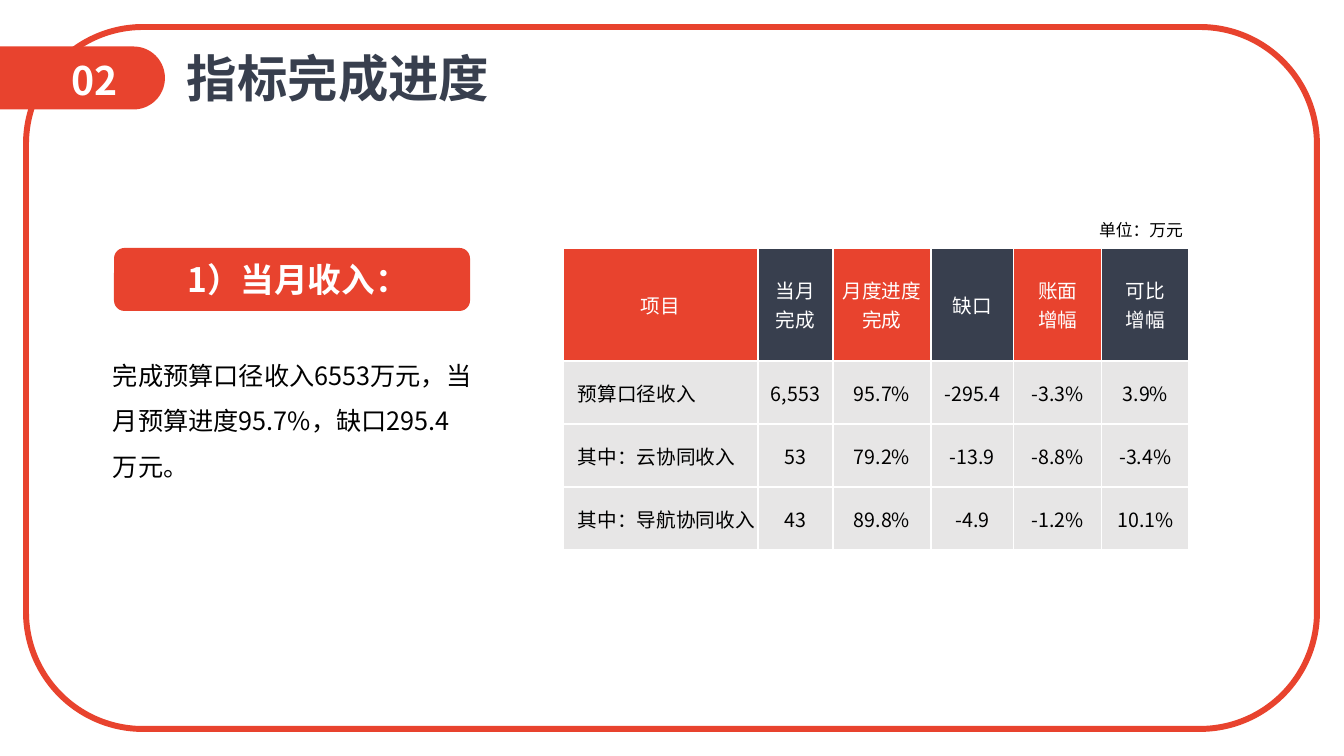
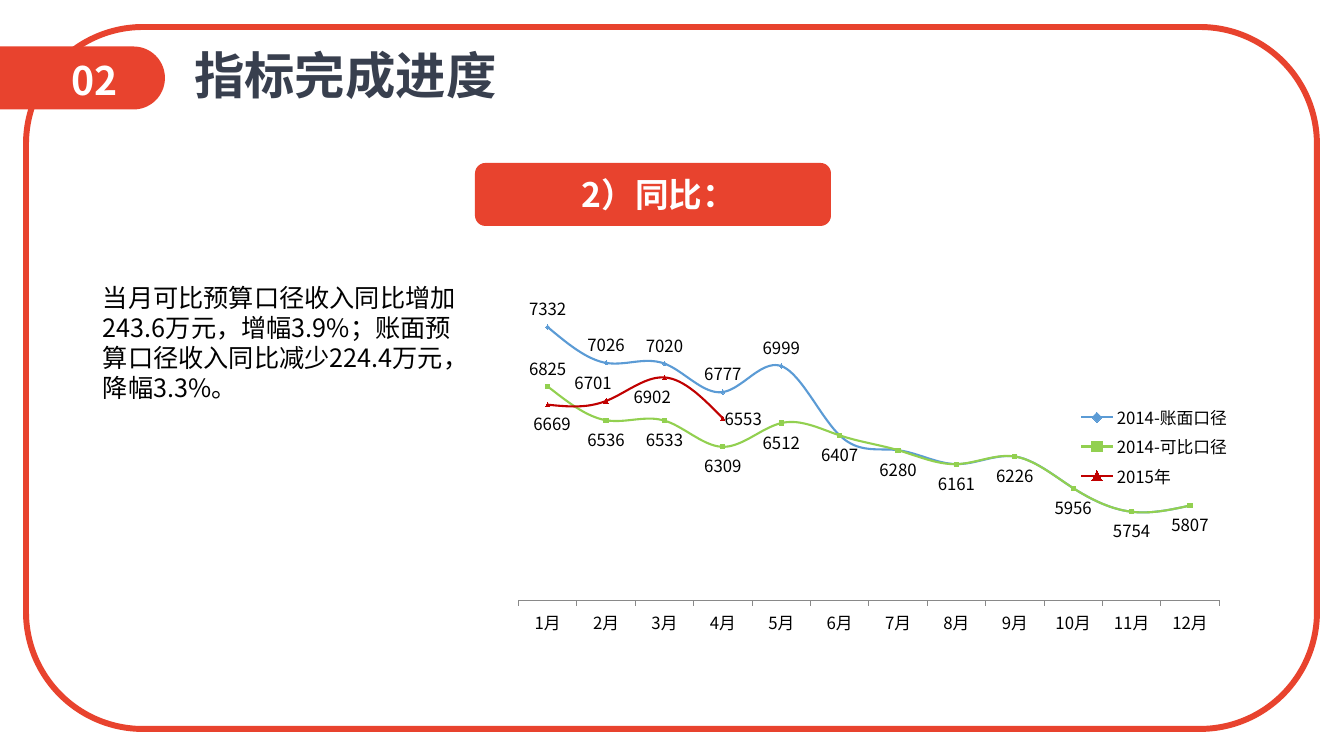
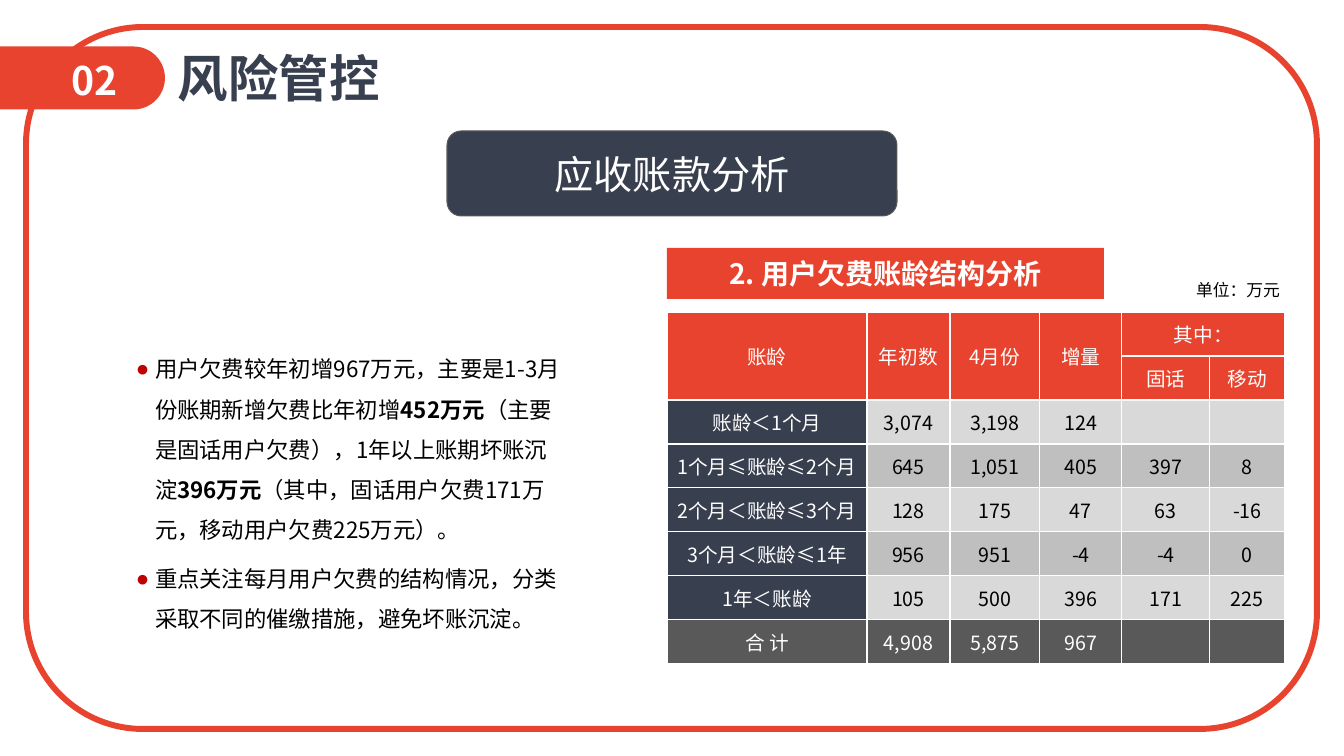
from math import cos, pi, sin

from lxml import etree
from pptx import Presentation
from pptx.chart.data import CategoryChartData
from pptx.dml.color import RGBColor
from pptx.enum.chart import XL_CHART_TYPE, XL_LABEL_POSITION, XL_LEGEND_POSITION, XL_MARKER_STYLE, XL_TICK_MARK
from pptx.enum.shapes import MSO_SHAPE
from pptx.enum.text import MSO_ANCHOR, MSO_AUTO_SIZE, PP_ALIGN
from pptx.oxml import parse_xml
from pptx.oxml.ns import nsdecls, qn
from pptx.util import Pt

LEFT, CENTER, RIGHT = PP_ALIGN.LEFT, PP_ALIGN.CENTER, PP_ALIGN.RIGHT
TOP, MIDDLE = MSO_ANCHOR.TOP, MSO_ANCHOR.MIDDLE
RECTANGLE, ROUNDED = MSO_SHAPE.RECTANGLE, MSO_SHAPE.ROUNDED_RECTANGLE
ABOVE, BELOW, BESIDE = XL_LABEL_POSITION.ABOVE, XL_LABEL_POSITION.BELOW, XL_LABEL_POSITION.RIGHT
DIAMOND, SQUARE, TRIANGLE = XL_MARKER_STYLE.DIAMOND, XL_MARKER_STYLE.SQUARE, XL_MARKER_STYLE.TRIANGLE

FONT = "Noto Sans CJK SC"
PX = 914400 / 100.8
COLORS = {
    "red": "E8432E", "navy": "383F4E", "white": "FFFFFF", "black": "000000",
    "pale": "E7E6E6", "light": "D9D9D9", "middle": "BFBFBF", "dark": "595959",
    "bullet": "C00000", "blue": "5B9BD5", "green": "92D050", "crimson": "C00000", "axis": "898989",
}

SECTION = "02"
UNIT = "单位：万元"
PROGRESS_TITLE = "指标完成进度"

INCOME_TEXT = [[("完成预算口径收入6553万元，当月预算进度95.7%，缺口295.4万元。", False)]]
INCOME_COLUMNS = [195, 75, 98, 83, 88, 87]
INCOME_HEIGHTS = [113, 63, 63, 63]
INCOME_ROWS = [
    ["项目", "当月\n完成", "月度进度\n完成", "缺口", "账面\n增幅", "可比\n增幅"],
    ["预算口径收入", "6,553", "95.7%", "-295.4", "-3.3%", "3.9%"],
    ["其中：云协同收入", "53", "79.2%", "-13.9", "-8.8%", "-3.4%"],
    ["其中：导航协同收入", "43", "89.8%", "-4.9", "-1.2%", "10.1%"],
]

YEAR_TEXT = [[("当月可比预算口径收入同比增加243.6万元，增幅3.9%；账面预算口径收入同比减少224.4万元，降幅3.3%。", False)]]
SHARED_MONTHS = [6407, 6280, 6161, 6226, 5956, 5754, 5807]
SERIES = [
    {"name": "2014-账面口径", "values": [7332, 7026, 7020, 6777, 6999] + SHARED_MONTHS,
     "color": "blue", "marker": DIAMOND, "labels": [(ABOVE, 0)] * 5},
    {"name": "2014-可比口径", "values": [6825, 6536, 6533, 6309, 6512] + SHARED_MONTHS,
     "color": "green", "marker": SQUARE, "labels": [(ABOVE, 0)] + [(BELOW, 0)] * 11},
    {"name": "2015年", "values": [6669, 6701, 6902, 6553] + [None] * 8,
     "color": "crimson", "marker": TRIANGLE,
     "labels": [(BELOW, 4), (ABOVE, -13), (BELOW, -12), (BESIDE, -4)]},
]
CHART_BOX = (518, 227, 723, 439)
PLOT_LAYOUT = (0, 0.05, 0.97, 0.8)
LEGEND_LAYOUT = (0.22, 0.07, 0.71, 0.07)

DEBT_TEXT = [
    [("用户欠费较年初增967万元，主要是1-3月份账期新增欠费比年初增", False), ("452万元", True),
     ("（主要是固话用户欠费），1年以上账期坏账沉淀", False), ("396万元", True),
     ("（其中，固话用户欠费171万元，移动用户欠费225万元）。", False)],
    [("重点关注每月用户欠费的结构情况，分类采取不同的催缴措施，避免坏账沉淀。", False)],
]
DEBT_COLUMNS = [200, 83, 90, 82, 88, 75]
DEBT_ROWS = [
    ["账龄", "年初数", "4月份", "增量", "其中：", ""],
    ["", "", "", "", "固话", "移动"],
    ["账龄＜1个月", "3,074", "3,198", "124", "", ""],
    ["1个月≤账龄≤2个月", "645", "1,051", "405", "397", "8"],
    ["2个月＜账龄≤3个月", "128", "175", "47", "63", "-16"],
    ["3个月＜账龄≤1年", "956", "951", "-4", "-4", "0"],
    ["1年＜账龄", "105", "500", "396", "171", "225"],
    ["合 计", "4,908", "5,875", "967", "", ""],
]
DEBT_MERGES = [(0, column, 1, column) for column in range(4)] + [(0, 4, 0, 5)]


def px(value):
    return round(value * PX)


def box(*lengths):
    return [px(length) for length in lengths]


def color(name):
    return RGBColor.from_string(COLORS[name])


def fill(target, name):
    target.fill.solid()
    target.fill.fore_color.rgb = color(name)


def write(frame, paragraphs, size, color_name, align=LEFT, anchor=TOP, spacing=1.0, gap=0, bullet=False):
    frame.vertical_anchor = anchor
    for index, runs in enumerate(paragraphs):
        paragraph = frame.paragraphs[0] if index == 0 else frame.add_paragraph()
        properties = paragraph._p.get_or_add_pPr()
        properties.set("marL", str(px(19) if bullet else 0))
        properties.set("indent", str(px(-24) if bullet else 0))
        if bullet:
            bullet_color = etree.SubElement(properties, qn("a:buClr"))
            etree.SubElement(bullet_color, qn("a:srgbClr")).set("val", COLORS["bullet"])
            etree.SubElement(properties, qn("a:buChar")).set("char", "●")
        else:
            etree.SubElement(properties, qn("a:buNone"))
        paragraph.alignment = align
        paragraph.line_spacing = spacing
        paragraph.space_before = Pt(gap if index else 0)
        for text, bold in runs:
            run = paragraph.add_run()
            run.text = text
            run.font.name = FONT
            run.font.size = Pt(size)
            run.font.bold = bold
            run.font.color.rgb = color(color_name)


def place(placeholder, bounds, wrap=True):
    placeholder.left, placeholder.top, placeholder.width, placeholder.height = box(*bounds)
    frame = placeholder.text_frame
    frame.word_wrap = wrap
    frame.auto_size = MSO_AUTO_SIZE.NONE
    frame.margin_left = frame.margin_right = px(10)
    frame.margin_top = frame.margin_bottom = px(5)
    return frame


def add_text(slide, bounds, text, size, color_name, bold=False, align=LEFT):
    frame = slide.shapes.add_textbox(*box(*bounds)).text_frame
    frame.word_wrap = True
    write(frame, [[(text, bold)]], size, color_name, align)


def add_label(slide, bounds, text, size, preset=ROUNDED, fill_name="red", line_name=None, bold=True, shift=0):
    shape = slide.shapes.add_shape(preset, *box(*bounds))
    shape.shadow.inherit = False
    fill(shape, fill_name)
    if line_name:
        shape.line.color.rgb = color(line_name)
        shape.line.width = Pt(0.75)
    else:
        shape.line.fill.background()
    shape.text_frame.margin_left = px(10 + shift)
    write(shape.text_frame, [[(text, bold)]], size, "white", CENTER, MIDDLE)


def add_frame(slide, layout):
    radius, center_x, center_y = 31.5, 133.5, 78
    angles = [-pi / 2 + pi * step / 36 for step in range(37)]
    arc = [(px(center_x + radius * cos(angle)), px(center_y + radius * sin(angle))) for angle in angles]
    builder = slide.shapes.build_freeform(0, px(center_y - radius))
    builder.add_line_segments(arc + [(0, px(center_y + radius))], close=True)
    badge = builder.convert_to_shape()
    badge.shadow.inherit = False
    fill(badge, "red")
    badge.line.fill.background()
    add_text(slide, (62, 51, 103, 58), SECTION, 28, "white", True)
    border = slide.shapes.add_shape(ROUNDED, *box(26, 27, 1291, 702))
    border.shadow.inherit = False
    border.fill.background()
    border.line.color.rgb = color("red")
    border.line.width = Pt(4.25)
    for shape in list(slide.shapes)[-3:]:
        layout.shapes.element.append(shape.element)


def add_page(presentation, layout, title, title_bounds, body, body_bounds, size, **style):
    slide = presentation.slides.add_slide(layout)
    write(place(slide.shapes.title, title_bounds, False), [[(title, True)]], 36, "navy")
    write(place(slide.placeholders[1], body_bounds), body, size, "black", **style)
    return slide


def add_grid(slide, left, top, columns, heights, rows, style, merges=()):
    graphic = slide.shapes.add_table(len(rows), len(columns), *box(left, top, sum(columns), sum(heights)))
    table = graphic.table
    table.first_row = table.horz_banding = False
    for column, width in zip(table.columns, columns):
        column.width = px(width)
    for row, height in zip(table.rows, heights):
        row.height = px(height)
    for row_index, values in enumerate(rows):
        for column_index, text in enumerate(values):
            cell = table.cell(row_index, column_index)
            fill_name, text_color, align, indent = style(row_index, column_index)
            cell.margin_left = px(indent)
            cell.margin_right = cell.margin_top = cell.margin_bottom = 0
            fill(cell, fill_name)
            properties = cell._tc.get_or_add_tcPr()
            for position, side in enumerate("LRTB"):
                properties.insert(position, parse_xml(
                    f'<a:ln{side} {nsdecls("a")} w="12700"><a:solidFill>'
                    f'<a:srgbClr val="{COLORS["white"]}"/></a:solidFill></a:ln{side}>'))
            if text:
                lines = [[(line, False)] for line in text.split("\n")]
                write(cell.text_frame, lines, 14, text_color, align)
            cell.vertical_anchor = MIDDLE
    for first_row, first_column, last_row, last_column in merges:
        table.cell(first_row, first_column).merge(table.cell(last_row, last_column))


def income_style(row, column):
    if row == 0:
        return ("navy" if column % 2 else "red"), "white", CENTER, 0
    return ("pale", "black", CENTER, 0) if column else ("pale", "black", LEFT, 15)


def debt_style(row, column):
    if row < 2:
        return "red", "white", CENTER, 0
    if row == len(DEBT_ROWS) - 1:
        return "dark", "white", CENTER, 0
    if column == 0:
        return "navy", "white", CENTER, 0
    return ("middle" if row % 2 else "light"), "black", CENTER, 0


def manual_layout(values, inner=False, edge=True):
    target = '<c:layoutTarget val="inner"/>' if inner else ""
    modes = '<c:xMode val="edge"/><c:yMode val="edge"/>' if edge else ""
    parts = "".join(f'<c:{key} val="{value}"/>' for key, value in zip("xywh", values))
    return parse_xml(f'<c:layout {nsdecls("c")}><c:manualLayout>{target}{modes}{parts}</c:manualLayout></c:layout>')


def style_font(font):
    font.name = FONT
    font.size = Pt(12)
    font.color.rgb = color("black")


def add_year_chart(slide):
    data = CategoryChartData()
    data.categories = [f"{month}月" for month in range(1, 13)]
    for entry in SERIES:
        data.add_series(entry["name"], entry["values"])
    chart = slide.shapes.add_chart(XL_CHART_TYPE.LINE_MARKERS, *box(*CHART_BOX), data).chart
    style_font(chart.font)
    chart.has_title = False
    chart.plots[0].vary_by_categories = False
    chart.value_axis.minimum_scale = 5000
    chart.value_axis.maximum_scale = 8000
    chart.value_axis.has_major_gridlines = False
    chart.value_axis.visible = False
    chart.category_axis.major_tick_mark = XL_TICK_MARK.OUTSIDE
    chart.category_axis.format.line.color.rgb = color("axis")
    chart.has_legend = True
    chart.legend.position = XL_LEGEND_POSITION.RIGHT
    chart.legend.include_in_layout = False
    style_font(chart.legend.font)
    chart.legend._element.find(qn("c:legendPos")).addnext(manual_layout(LEGEND_LAYOUT))
    plot_area = chart.element.find(".//" + qn("c:plotArea"))
    for layout in plot_area.findall(qn("c:layout")):
        plot_area.remove(layout)
    plot_area.insert(0, manual_layout(PLOT_LAYOUT, inner=True))
    for series, entry in zip(chart.plots[0].series, SERIES):
        series.smooth = True
        series.format.line.color.rgb = color(entry["color"])
        series.format.line.width = Pt(1.5)
        series.marker.style = entry["marker"]
        series.marker.size = 3
        fill(series.marker.format, entry["color"])
        series.marker.format.line.color.rgb = color(entry["color"])
        series.data_labels.show_value = False
        for index, (position, shift) in enumerate(entry["labels"]):
            label = series.points[index].data_label
            style_font(label.font)
            label.position = position
            if shift:
                mark = series._element.find(f'.//{qn("c:dLbl")}/{qn("c:idx")}[@val="{index}"]')
                mark.addnext(manual_layout((round(shift / CHART_BOX[2], 3), 0), edge=False))
    return chart


def add_east_asian_font(root):
    for latin in list(root.iter(qn("a:latin"))):
        if latin.get("typeface") == FONT:
            east_asian = etree.Element(qn("a:ea"))
            east_asian.set("typeface", FONT)
            latin.addnext(east_asian)


def main():
    presentation = Presentation()
    presentation.slide_width, presentation.slide_height = box(1344, 756)
    layout = presentation.slide_layouts[1]

    income = add_page(presentation, layout, PROGRESS_TITLE, (177, 42, 323, 72),
                      INCOME_TEXT, (103, 340, 380, 147), 18, spacing=1.5)
    add_frame(income, layout)
    add_grid(income, 563, 248, INCOME_COLUMNS, INCOME_HEIGHTS, INCOME_ROWS, income_style)
    add_text(income, (1075, 215, 118, 30), UNIT, 12, "black", align=RIGHT)
    add_label(income, (114, 248, 356, 63), "1）当月收入：", 24, shift=12)

    year = add_page(presentation, layout, PROGRESS_TITLE, (184, 39, 323, 72),
                    YEAR_TEXT, (93, 277, 381, 132), 18)
    add_label(year, (475, 163, 356, 63), "2）同比：", 24, shift=12)
    chart = add_year_chart(year)

    debt = add_page(presentation, layout, "风险管控", (168, 42, 222, 72),
                    DEBT_TEXT, (126, 337, 450, 303), 16, spacing=1.5, gap=6, bullet=True)
    add_label(debt, (667, 248, 437, 51), "2. 用户欠费账龄结构分析", 20, RECTANGLE)
    add_grid(debt, 667, 312, DEBT_COLUMNS, [44] * len(DEBT_ROWS), DEBT_ROWS, debt_style, DEBT_MERGES)
    add_text(debt, (1172, 275, 118, 30), UNIT, 12, "black", align=RIGHT)
    add_label(debt, (447, 131, 450, 85), "应收账款分析", 28, fill_name="navy", line_name="dark", bold=False)

    for part in (layout, income, year, debt, chart):
        add_east_asian_font(part.element)
    presentation.save("out.pptx")


if __name__ == "__main__":
    main()
